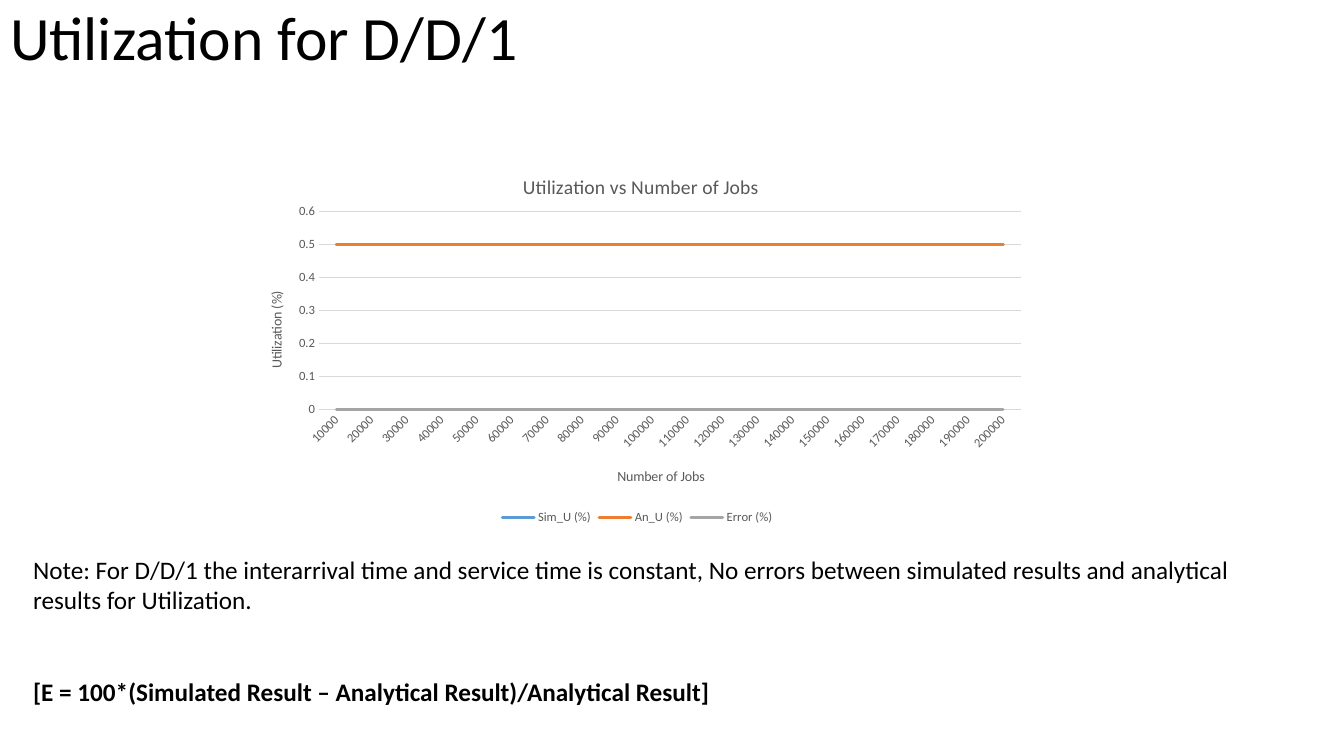
from lxml import etree
from pptx import Presentation
from pptx.chart.data import CategoryChartData
from pptx.dml.color import RGBColor
from pptx.enum.chart import XL_CHART_TYPE, XL_LEGEND_POSITION, XL_TICK_MARK
from pptx.enum.text import MSO_ANCHOR, MSO_AUTO_SIZE, PP_ALIGN
from pptx.oxml.ns import qn
from pptx.util import Inches, Pt

BLACK = RGBColor(0x00, 0x00, 0x00)
GRAY = RGBColor(0x59, 0x59, 0x59)
GRID = RGBColor(0xD9, 0xD9, 0xD9)
BLUE = RGBColor(0x5B, 0x9B, 0xD5)
ORANGE = RGBColor(0xED, 0x7D, 0x31)
SILVER = RGBColor(0xA5, 0xA5, 0xA5)
LINE = XL_CHART_TYPE.LINE
BOTTOM = XL_LEGEND_POSITION.BOTTOM
NO_TICK = XL_TICK_MARK.NONE
LEFT = PP_ALIGN.LEFT
MIDDLE = MSO_ANCHOR.MIDDLE
GROW = MSO_AUTO_SIZE.SHAPE_TO_FIT_TEXT


def set_font(font, size, color, bold=False):
    font.name = "Calibri"
    font.size = Pt(size)
    font.bold = bold
    font.color.rgb = color


def place(parent, index, **values):
    """Give a chart part a manual layout, in fractions of the chart."""
    for old in parent.findall(qn("c:layout")):
        parent.remove(old)
    layout = etree.Element(qn("c:layout"))
    parent.insert(index, layout)
    manual = etree.SubElement(layout, qn("c:manualLayout"))
    for tag, value in values.items():
        etree.SubElement(manual, qn(f"c:{tag}")).set("val", str(value))


prs = Presentation()
prs.slide_width = Inches(13.33)
prs.slide_height = Inches(7.5)
slide = prs.slides.add_slide(prs.slide_layouts[5])

# Title
heading = slide.shapes.title
heading.left, heading.top = Inches(0), Inches(0)
heading.width, heading.height = Inches(11.5), Inches(0.8)
heading.text_frame.text = "Utilization for D/D/1"
heading.text_frame.vertical_anchor = MIDDLE
heading_line = heading.text_frame.paragraphs[0]
heading_line.alignment = LEFT
heading_line.line_spacing = 0.9
set_font(heading_line.font, 44, BLACK)

# Utilization chart
jobs = range(10000, 200001, 10000)
utilization = [("Sim_U (%)", 0.5, BLUE), ("An_U (%)", 0.5, ORANGE), ("Error (%) ", 0, SILVER)]
chart_data = CategoryChartData()
chart_data.categories = [str(count) for count in jobs]
for name, value, color in utilization:
    chart_data.add_series(name, [value] * len(jobs))
chart = slide.shapes.add_chart(
    LINE, Inches(2.39), Inches(1.46), Inches(7.89), Inches(3.79), chart_data).chart
set_font(chart.font, 10, BLACK)
chart.plots[0].vary_by_categories = False
for series, (name, value, color) in zip(chart.plots[0].series, utilization):
    series.smooth = False
    series.format.line.color.rgb = color
    series.format.line.width = Pt(2.25)
    series.format.line._ln.set("cap", "rnd")
    etree.SubElement(series.format.line._ln, qn("a:round"))
    series.marker.style = None
    series._element.get_or_add_marker().get_or_add_symbol().set("val", "none")

# Axes
jobs_axis, share_axis = chart.category_axis, chart.value_axis
for axis in (jobs_axis, share_axis):
    axis.major_tick_mark = axis.minor_tick_mark = NO_TICK
    set_font(axis.tick_labels.font, 9, GRAY)
jobs_axis.format.line.color.rgb = GRID
jobs_axis.format.line.width = Pt(0.75)
jobs_axis._element.find(qn("c:txPr")).find(qn("a:bodyPr")).set("rot", "-2700000")
share_axis.format.line.fill.background()
share_axis.minimum_scale, share_axis.maximum_scale = 0, 0.6
share_axis.major_unit = 0.1
share_axis.major_gridlines.format.line.color.rgb = GRID
share_axis.major_gridlines.format.line.width = Pt(0.75)

# Chart and axis titles
chart_titles = [
    (chart.chart_title, "Utilization vs Number of Jobs", 14, 0.35, 0.06),
    (jobs_axis.axis_title, "Number of Jobs", 10, 0.47, 0.83),
    (share_axis.axis_title, "Utilization (%)", 10, 0.03, 0.37),
]
for title, words, size, x, y in chart_titles:
    title.text_frame.text = words
    set_font(title.text_frame.paragraphs[0].runs[0].font, size, GRAY)
    place(title._element, 1, xMode="edge", yMode="edge", x=x, y=y)
share_axis.axis_title.text_frame._txBody.find(qn("a:bodyPr")).set("rot", "-5400000")

# Plot area and legend
place(chart._chartSpace.chart.plotArea, 0, layoutTarget="inner", xMode="edge",
      yMode="edge", x=0.098, y=0.168, w=0.882, h=0.518)
chart.has_legend = True
chart.legend.position = BOTTOM
chart.legend.include_in_layout = False
set_font(chart.legend.font, 9, GRAY)

# Note and error formula
note = slide.shapes.add_textbox(
    Inches(0.23), Inches(5.45), Inches(12.27), Inches(1.62)).text_frame
note.word_wrap = True
note.auto_size = GROW
note.text = ("Note: For D/D/1 the interarrival time and service time is constant, "
             "No errors between simulated results and analytical results for Utilization.")
formula = note.add_paragraph()
formula.text = "[E = 100*(Simulated Result – Analytical Result)/Analytical Result]"
formula.space_before = Pt(44)
for paragraph in note.paragraphs:
    set_font(paragraph.font, 18, BLACK, bold=paragraph.text.startswith("["))

prs.save("out.pptx")
